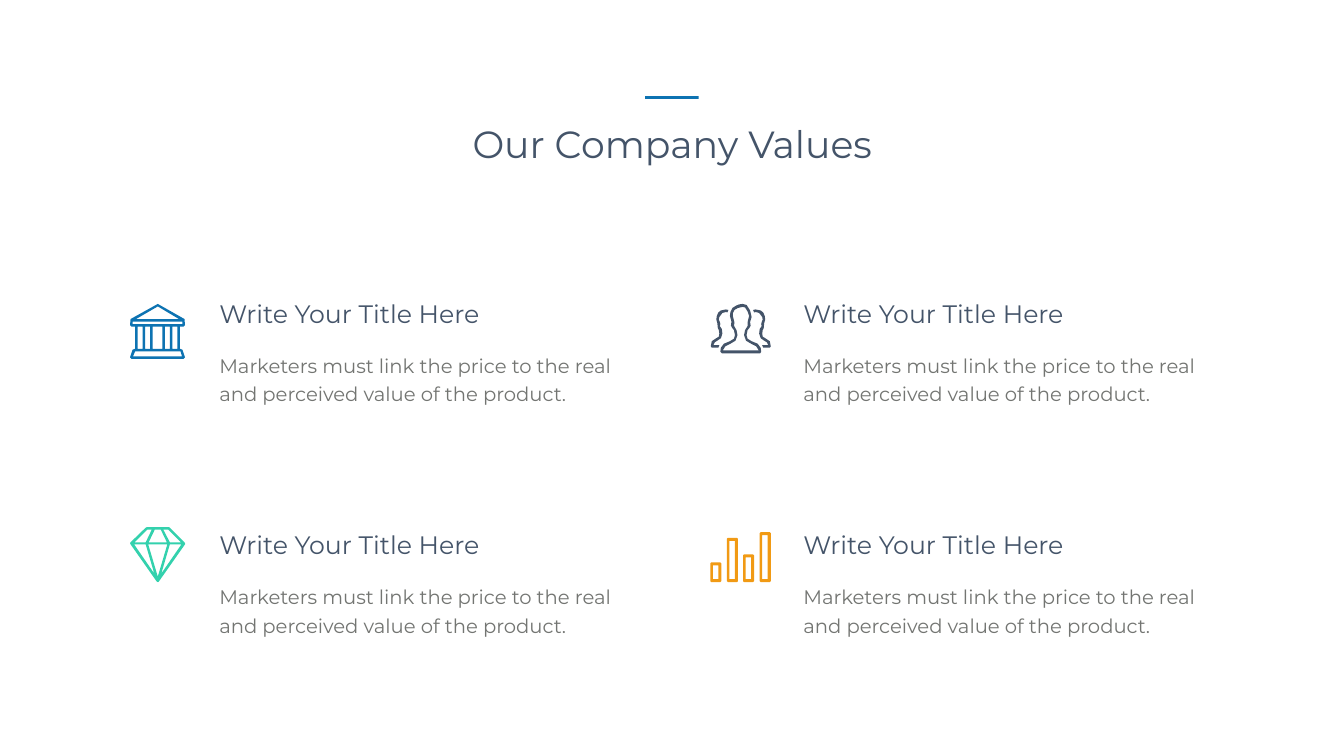
import pptx
import pptx.dml.color
import pptx.enum.shapes
import pptx.enum.text
import pptx.util

Cm = pptx.util.Cm
Pt = pptx.util.Pt

FONT = "Montserrat"
NAVY, GREY = "445469", "737572"
BLUE, GREEN, ORANGE = "0D73B2", "33D1AD", "F19A14"
ICON_UNIT = Cm(2.54) / 100
MIRROR_SUM = 2939
HEADING = "Write Your Title Here"
DESCRIPTION = "Marketers must link the price to the real and perceived value of the product."

HEADING_FORMAT = {"size": Pt(36), "name": FONT}
DESCRIPTION_FORMAT = {"size": Pt(28), "name": FONT}
TITLE_FORMAT = {"size": Pt(54), "name": FONT}

CENTER_PERSON = [
    (1473, 603), (1466, 604), (1461, 606), (1453, 611), (1449, 619), (1448, 627),
    (1451, 638), (1450, 646), (1452, 650), (1456, 655), (1458, 665), (1456, 672),
    (1448, 677), (1436, 682), (1430, 690), (1429, 698), (1432, 701), (1508, 701),
    (1510, 698), (1509, 690), (1503, 682), (1491, 677), (1483, 672), (1481, 665),
    (1483, 655), (1487, 650), (1489, 646), (1488, 639), (1491, 629), (1488, 616),
    (1481, 605),
]
CENTER_PERSON_HOLE = [
    (1434, 695), (1439, 687), (1449, 682), (1459, 676), (1463, 665), (1461, 655),
    (1457, 648), (1456, 646), (1457, 640), (1456, 636), (1454, 628), (1454, 621),
    (1457, 615), (1464, 611), (1473, 609), (1478, 610), (1483, 618), (1486, 627),
    (1484, 635), (1483, 640), (1483, 647), (1478, 655), (1476, 665), (1480, 676),
    (1490, 682), (1500, 687), (1505, 695),
]
SIDE_PERSON = [
    (1518, 671), (1513, 668), (1512, 662), (1513, 655), (1515, 651), (1516, 641),
    (1518, 634), (1517, 627), (1514, 620), (1509, 616), (1499, 614), (1494, 615),
    (1496, 620), (1499, 619), (1506, 621), (1512, 629), (1513, 634), (1511, 639),
    (1510, 643), (1511, 647), (1507, 653), (1506, 662), (1509, 671), (1516, 676),
    (1521, 679), (1524, 685), (1512, 685), (1514, 690), (1527, 690), (1529, 687),
    (1527, 677),
]


def color(value):
    return pptx.dml.color.RGBColor.from_string(value)


def format_text(shape, text, formats, text_color, line_spacing=None, alignment=None):
    frame = shape.text_frame
    frame.text = text
    paragraph = frame.paragraphs[0]
    paragraph.alignment = alignment
    paragraph.line_spacing = line_spacing
    font = paragraph.runs[0].font
    for name, value in formats.items():
        setattr(font, name, value)
    font.color.rgb = color(text_color)


def paint(shape, fill):
    shape.shadow.inherit = False
    shape.fill.solid()
    shape.fill.fore_color.rgb = color(fill)
    shape.line.fill.background()


def box(left, top, right, bottom):
    return [(left, top), (right, top), (right, bottom), (left, bottom)]


def rounded_box(left, top, right, bottom, cut=2):
    return [
        (left + cut, top), (right - cut, top), (right, top + cut), (right, bottom - cut),
        (right - cut, bottom), (left + cut, bottom), (left, bottom - cut), (left, top + cut),
    ]


def bank_contours():
    outline = [
        (313, 603), (366, 633), (367, 645), (364, 648), (357, 648), (357, 692),
        (362, 694), (367, 709), (364, 712), (261, 712), (258, 709), (263, 694),
        (268, 692), (268, 648), (261, 648), (258, 645), (259, 633),
    ]
    columns = [(273, 283), (288, 298), (303, 322), (327, 337), (342, 352)]
    roof = [(313, 608), (355, 633), (270, 633)]
    base = [(358, 697), (361, 707), (264, 707), (268, 697)]
    gaps = [box(left, 648, right, 692) for left, right in columns]
    return [outline, roof, box(263, 638, 362, 643), base] + gaps


def people_contours():
    mirrored = [(MIRROR_SUM - x, y) for x, y in SIDE_PERSON]
    return [CENTER_PERSON, CENTER_PERSON_HOLE, SIDE_PERSON, mirrored]


def diamond_contours():
    return [
        [(291, 1046), (335, 1046), (337, 1047), (366, 1076), (367, 1078), (367, 1080),
         (315, 1154), (313, 1155), (311, 1154), (259, 1080), (258, 1078), (259, 1076),
         (289, 1047)],
        [(320, 1138), (337, 1080), (360, 1080)],
        [(313, 1144), (294, 1080), (332, 1080)],
        [(266, 1080), (289, 1080), (306, 1138)],
        [(292, 1051), (301, 1051), (289, 1076), (267, 1076)],
        [(319, 1051), (331, 1076), (295, 1076), (307, 1051)],
        [(334, 1051), (359, 1076), (337, 1076), (324, 1051)],
    ]


def bar_contours():
    contours = []
    for index, top in enumerate((1116, 1067, 1100, 1056)):
        left = round(1409 + 32.7 * index)
        contours.append(rounded_box(left, top, left + 22, 1155))
        contours.append(box(left + 5, top + 6, left + 16, 1149))
    return contours


def add_icon(slide, contours, fill):
    start_x, start_y = contours[0][0]
    builder = slide.shapes.build_freeform(start_x, start_y, scale=ICON_UNIT)
    for index, contour in enumerate(contours):
        if index:
            builder.move_to(*contour[0])
        builder.add_line_segments(contour[1:], close=True)
    paint(builder.convert_to_shape(), fill)


def add_title(slide):
    title = slide.shapes.title
    place = {"left": Cm(23.37), "top": Cm(5.94), "width": Cm(21), "height": Cm(2.57)}
    for name, value in place.items():
        setattr(title, name, value)
    format_text(title, "Our Company Values", TITLE_FORMAT, NAVY,
                alignment=pptx.enum.text.PP_ALIGN.CENTER)
    title.text_frame.word_wrap = False
    title.text_frame.auto_size = pptx.enum.text.MSO_AUTO_SIZE.NONE
    bar = slide.shapes.add_shape(pptx.enum.shapes.MSO_SHAPE.RECTANGLE,
                                 Cm(32.51), Cm(4.85), Cm(2.69), Cm(0.13))
    paint(bar, BLUE)


def add_text(slide, left, top, width, height, text, formats, text_color, line_spacing=None):
    shape = slide.shapes.add_textbox(Cm(left), Cm(top), Cm(width), Cm(height))
    shape.text_frame.word_wrap = True
    format_text(shape, text, formats, text_color, line_spacing)


def add_value(slide, left, top):
    add_text(slide, left, top, 14.55, 1.8, HEADING, HEADING_FORMAT, NAVY)
    add_text(slide, left, top + 2.54, 20.9, 3.05, DESCRIPTION, DESCRIPTION_FORMAT,
             GREY, Pt(40.8))


def main():
    presentation = pptx.Presentation()
    presentation.slide_width = Cm(67.72)
    presentation.slide_height = Cm(38.1)
    slide = presentation.slides.add_slide(presentation.slide_layouts[5])
    add_title(slide)
    for left in (10.8, 40.23):
        for top in (14.91, 26.57):
            add_value(slide, left, top)
    add_icon(slide, people_contours(), NAVY)
    add_icon(slide, bar_contours(), ORANGE)
    add_icon(slide, bank_contours(), BLUE)
    add_icon(slide, diamond_contours(), GREEN)
    presentation.save("out.pptx")


if __name__ == "__main__":
    main()
